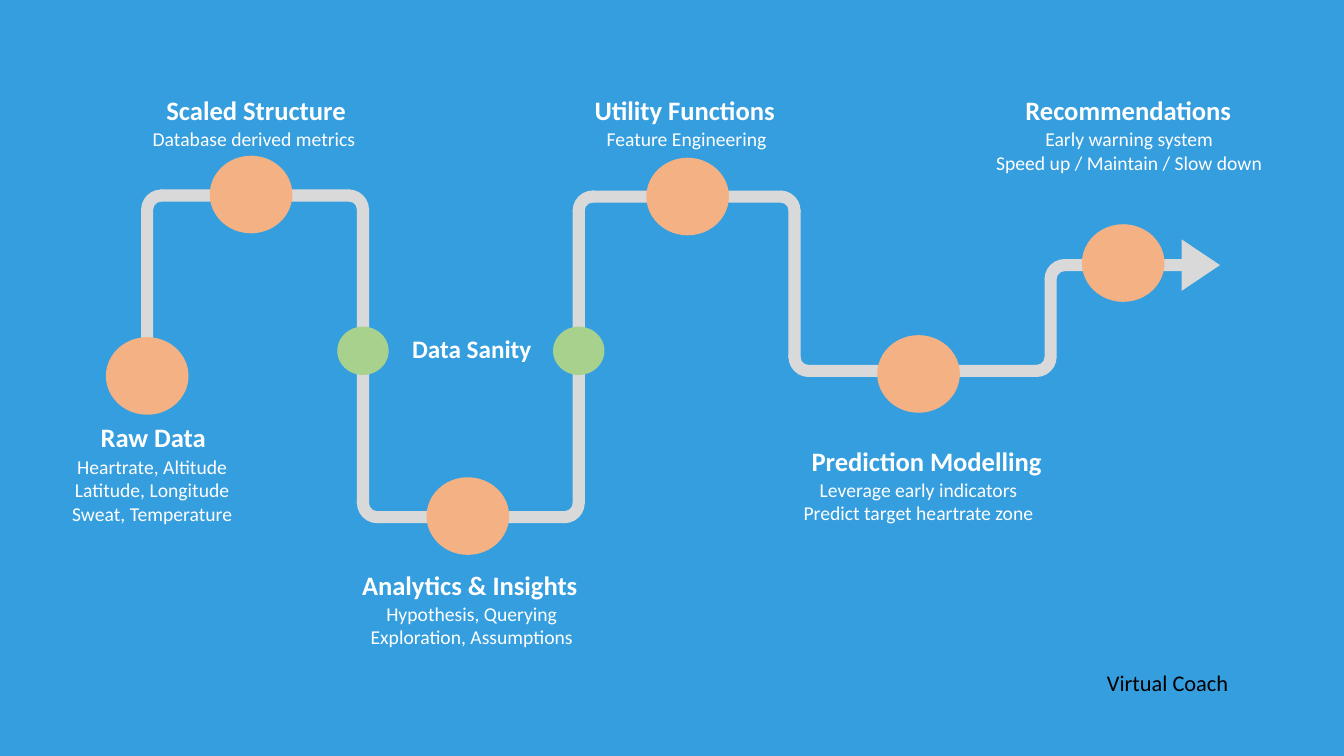
from dataclasses import dataclass
from itertools import pairwise

from pptx import Presentation
from pptx.dml.color import RGBColor
from pptx.enum.shapes import MSO_SHAPE as SHAPE
from pptx.enum.text import MSO_ANCHOR as ANCHOR, MSO_AUTO_SIZE as AUTO, PP_ALIGN as ALIGN
from pptx.util import Inches, Pt


@dataclass(frozen=True)
class Theme:
    font: str = "Calibri"
    background: str = "359EDF"
    track: str = "D9D9D9"
    stage: str = "F4B183"
    check: str = "A9D18E"
    light: str = "FFFFFF"
    dark: str = "000000"
    heading: int = 19
    check_label: int = 18
    title: int = 16
    detail: int = 14


THEME = Theme()
THICKNESS = 0.12
BEND = 0.4
BEND_TRIM = 0.13
STAGE_SIZE = (0.82, 0.77)
CHECK_SIZE = (0.51, 0.48)
LABEL_WIDTH = 3.0
DETAIL_DROP = 0.33

# Centre line of the track, from raw data to the arrow
ROUTE = [(1.46, 3.5), (1.46, 1.94), (3.6, 1.94), (3.6, 5.13), (5.74, 5.13),
         (5.74, 1.95), (7.88, 1.95), (7.88, 3.68), (10.42, 3.68),
         (10.42, 2.63), (11.75, 2.63)]

# Node centre, heading centre and top, detail centre, heading, details
STAGES = [
    ((1.46, 3.73), (1.52, 4.11), 1.51, "Raw Data",
     ["Heartrate, Altitude", "Latitude, Longitude", "Sweat, Temperature"]),
    ((2.49, 1.93), (2.54, 0.86), 2.52, "Scaled Structure",
     ["Database derived metrics"]),
    ((4.64, 5.12), (4.66, 5.57), 4.68, "Analytics & Insights",
     ["Hypothesis, Querying", "Exploration, Assumptions"]),
    ((6.82, 1.95), (6.79, 0.86), 6.81, "Utility Functions",
     ["Feature Engineering"]),
    ((9.11, 3.71), (9.19, 4.34), 9.11, "Prediction Modelling",
     ["Leverage early indicators", "Predict target heartrate zone"]),
    ((11.14, 2.61), (11.19, 0.86), 11.2, "Recommendations",
     ["Early warning system", "Speed up / Maintain / Slow down"]),
]


def add_centred(s, kind, centre, size, color, rotation=0):
    (x, y), (w, h) = centre, size
    sp = s.shapes.add_shape(kind, Inches(x - w / 2), Inches(y - h / 2),
                            Inches(w), Inches(h))
    sp.rotation = rotation
    sp.shadow.inherit = False
    sp.fill.solid()
    sp.fill.fore_color.rgb = RGBColor.from_string(color)
    sp.line.fill.background()
    return sp


def write(tf, lines, size, color, bold=False):
    for i, line in enumerate(lines):
        p = tf.add_paragraph() if i else tf.paragraphs[0]
        p.text = line
        p.alignment = ALIGN.CENTER
        p.font.name = THEME.font
        p.font.size = Pt(size)
        p.font.bold = bold
        p.font.color.rgb = RGBColor.from_string(color)


def add_label(s, x, top, width, lines, size, bold=False):
    """Add a text box centred on x."""
    height = 0.14 + len(lines) * size * 1.2 / 72
    tf = s.shapes.add_textbox(Inches(x - width / 2), Inches(top),
                              Inches(width), Inches(height)).text_frame
    tf.word_wrap = True
    tf.auto_size = AUTO.SHAPE_TO_FIT_TEXT
    tf.margin_left = tf.margin_right = Inches(0.13)
    tf.margin_top = tf.margin_bottom = Inches(0.07)
    write(tf, lines, size, THEME.light, bold)


def sign(value):
    return (value > 0) - (value < 0)


def add_track(s, route):
    """Draw straight legs, a quarter arc at each bend and the arrow at the end."""
    last = len(route) - 2
    for i, ((x1, y1), (x2, y2)) in enumerate(pairwise(route)):
        dx, dy = sign(x2 - x1), sign(y2 - y1)
        start = BEND_TRIM if i else 0
        end = BEND_TRIM if i < last else 0
        x1, y1 = x1 + dx * start, y1 + dy * start
        x2, y2 = x2 - dx * end, y2 - dy * end
        add_centred(s, SHAPE.RECTANGLE, ((x1 + x2) / 2, (y1 + y2) / 2),
                    (abs(x2 - x1) or THICKNESS, abs(y2 - y1) or THICKNESS), THEME.track)

    turns = {(1, 1): 0, (-1, 1): 90, (-1, -1): 180, (1, -1): 270}
    inset = (BEND - THICKNESS) / 2
    for before, (x, y), after in zip(route, route[1:], route[2:]):
        dx = sign(before[0] + after[0] - 2 * x)
        dy = sign(before[1] + after[1] - 2 * y)
        arc = add_centred(s, SHAPE.BLOCK_ARC, (x + dx * inset, y + dy * inset),
                          (BEND, BEND), THEME.track, turns[dx, dy])
        for i, value in enumerate((108, 164.5, THICKNESS / BEND)):
            arc.adjustments[i] = value

    x, y = route[-1]
    add_centred(s, SHAPE.ISOSCELES_TRIANGLE, (x + 0.16, y), (0.51, 0.38), THEME.track, 90)


def add_stage(s, node, label, detail_x, heading, details):
    x, top = label
    add_centred(s, SHAPE.OVAL, node, STAGE_SIZE, THEME.stage)
    add_label(s, x, top, LABEL_WIDTH, [heading], THEME.heading, bold=True)
    add_label(s, detail_x, top + DETAIL_DROP, LABEL_WIDTH, details, THEME.detail)


def add_data_check(s, left, right, y):
    for x in (left, right):
        add_centred(s, SHAPE.OVAL, (x, y), CHECK_SIZE, THEME.check)
    add_label(s, (left + right) / 2 + 0.01, y - 0.24, 1.6, ["Data Sanity"],
              THEME.check_label, bold=True)


def add_title(s, left, top, width, height):
    title = s.shapes.title
    title.left, title.top = Inches(left), Inches(top)
    title.width, title.height = Inches(width), Inches(height)
    tf = title.text_frame
    tf.auto_size = AUTO.NONE
    tf.vertical_anchor = ANCHOR.MIDDLE
    write(tf, ["Virtual Coach"], THEME.title, THEME.dark)


def main():
    prs = Presentation()
    prs.slide_width, prs.slide_height = Inches(13.33), Inches(7.5)
    s = prs.slides.add_slide(prs.slide_layouts[5])
    s.background.fill.solid()
    s.background.fill.fore_color.rgb = RGBColor.from_string(THEME.background)
    add_track(s, ROUTE)
    for stage in STAGES:
        add_stage(s, *stage)
    add_data_check(s, 3.6, 5.74, 3.48)
    add_title(s, 10.86, 6.55, 1.44, 0.45)
    prs.save("out.pptx")


if __name__ == "__main__":
    main()
